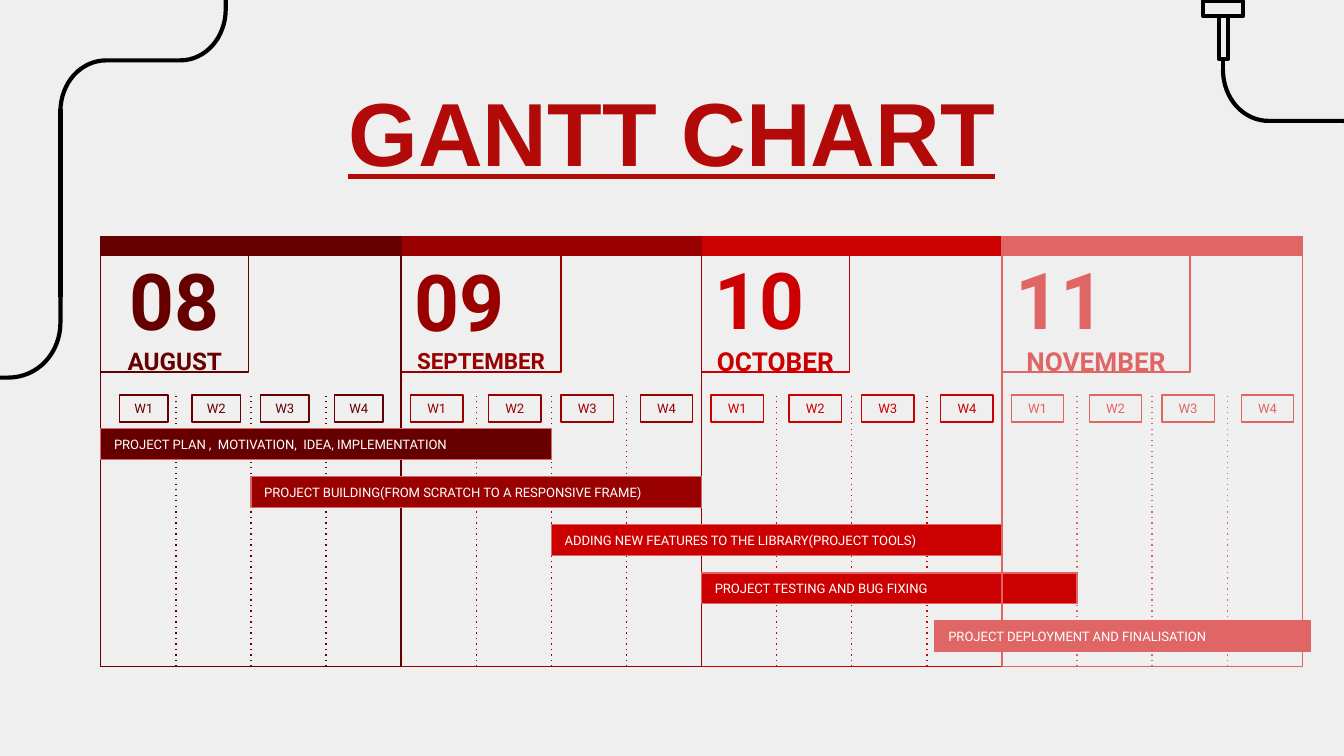
"""Build a four-month Gantt chart slide."""
from lxml import etree
from pptx import Presentation
from pptx.dml.color import RGBColor
from pptx.enum import dml, shapes, text
from pptx.oxml import ns
from pptx.util import Inches, Pt

BACKGROUND = RGBColor(0xEF, 0xEF, 0xEF)
BLACK = RGBColor(0, 0, 0)
WHITE = RGBColor(0xFF, 0xFF, 0xFF)
TITLE_RED = RGBColor(0xB2, 0x09, 0x09)
MAROON = RGBColor(0x66, 0, 0)
CRIMSON = RGBColor(0x99, 0, 0)
SCARLET = RGBColor(0xCC, 0, 0)
CORAL = RGBColor(0xE0, 0x66, 0x66)

LEFT, CENTER = text.PP_ALIGN.LEFT, text.PP_ALIGN.CENTER

TITLE = "GANTT CHART"
WEEKS = ["W1", "W2", "W3", "W4"]
WEEK_OFFSETS = [0.07, 0.65, 1.19, 1.78]
AUGUST_OFFSETS = [0.14, 0.68, 1.19, 1.74]

# number, name, colour, label width, name size, number alignment, week offsets, week width
MONTHS = [
    ("08", "AUGUST", MAROON, 1.1, 13, CENTER, AUGUST_OFFSETS, 0.36),
    ("09", "SEPTEMBER", CRIMSON, 1.19, 12, LEFT, WEEK_OFFSETS, 0.39),
    ("10", "OCTOBER", SCARLET, 1.1, 14, LEFT, WEEK_OFFSETS, 0.39),
    ("11", "NOVEMBER", CORAL, 1.4, 14, LEFT, WEEK_OFFSETS, 0.39),
]

# task, first week, length in weeks, colour
TASKS = [
    ("PROJECT PLAN ,  MOTIVATION,  IDEA, IMPLEMENTATION", 0, 6, MAROON),
    ("PROJECT BUILDING(FROM SCRATCH TO A RESPONSIVE FRAME)", 2, 6, CRIMSON),
    ("ADDING NEW FEATURES TO THE LIBRARY(PROJECT TOOLS)", 6, 6, SCARLET),
    ("PROJECT TESTING AND BUG FIXING", 8, 5, SCARLET),
    ("PROJECT DEPLOYMENT AND FINALISATION", 11.11, 5, CORAL),
]

# each cable piece: start, then line ends (one point) or Bezier curves (three points)
CABLES = [
    ((0.45, 0.83), [[(0.45, 0.62), (0.6, 0.45), (0.79, 0.45)], [(1.34, 0.45)],
                    [(1.53, 0.45), (1.68, 0.28), (1.68, 0.07)], [(1.68, -0.07)]]),
    ((0.45, 2), [[(0.45, 2.4)], [(0.45, 2.63), (0.28, 2.81), (0.06, 2.81)],
                 [(-0.01, 2.81)]]),
    ((9.1, 0.52), [[(9.1, 0.73), (9.25, 0.9), (9.44, 0.9)], [(9.99, 0.9)],
                   [(10.18, 0.9), (10.33, 1.07), (10.33, 1.28)], [(10.33, 1.42)]]),
]
CABLE_LINES = [(0.45, 0.81, 2.21), (9.1, 0.55, 0.45)]
PLUG = [(8.95, 0.01, 0.3, 0.11), (9.07, 0.12, 0.07, 0.32)]

CHART_LEFT, CHART_TOP, CHART_WIDTH, CHART_HEIGHT = 0.75, 1.76, 8.94, 3.2
MONTH_WIDTH = CHART_WIDTH / len(MONTHS)
WEEK_WIDTH = MONTH_WIDTH / len(WEEKS)
BAND_HEIGHT, WEEK_TOP = 0.14, 2.94
FIRST_TASK_TOP, LAST_TASK_TOP, TASK_HEIGHT = 3.19, 4.62, 0.23
TASK_STEP = (LAST_TASK_TOP - FIRST_TASK_TOP) / (len(TASKS) - 1)


def write(box, lines):
    frame = box.text_frame
    frame.word_wrap = True
    frame.vertical_anchor = text.MSO_ANCHOR.MIDDLE
    frame.margin_left = frame.margin_right = Inches(0.1)
    frame.margin_top = frame.margin_bottom = Inches(0.1)
    frame.text = "\n".join(line[0] for line in lines)
    for paragraph, (_, size, colour, bold, align, font) in zip(frame.paragraphs, lines):
        paragraph.alignment = align
        for run in paragraph.runs:
            run.font.size, run.font.name, run.font.bold = Pt(size), font, bold
            run.font.color.rgb = colour


def style(shape, outline, width=0.75, fill=None):
    shape.shadow.inherit = False
    shape.line.color.rgb = outline
    shape.line.width = Pt(width)
    if fill is None:
        shape.fill.background()
    else:
        shape.fill.solid()
        shape.fill.fore_color.rgb = fill


def add_box(slide, place, outline, width=0.75, fill=None, lines=()):
    box = slide.shapes.add_shape(shapes.MSO_SHAPE.RECTANGLE, *map(Inches, place))
    style(box, outline, width, fill)
    if lines:
        write(box, lines)


def add_vertical(slide, x, start, end, colour, width, dotted=False):
    line = slide.shapes.add_connector(
        shapes.MSO_CONNECTOR.STRAIGHT, *map(Inches, (x, start, x, end)))
    line.line.color.rgb = colour
    line.line.width = Pt(width)
    if dotted:
        line.line.dash_style = dml.MSO_LINE.ROUND_DOT
        for dash in line._element.iter(ns.qn("a:prstDash")):
            dash.set("val", "dot")
    etree.SubElement(line._element.spPr, ns.qn("a:effectLst"))


def curve(start, first, second, end, steps=16):
    for t in (step / steps for step in range(1, steps + 1)):
        weights = ((1 - t) ** 3, 3 * t * (1 - t) ** 2, 3 * t * t * (1 - t), t ** 3)
        yield tuple(sum(w * point[axis] for w, point in zip(weights, (start, first, second, end)))
                    for axis in (0, 1))


def add_cable(slide, start, pieces):
    points = [start]
    for piece in pieces:
        points += piece if len(piece) == 1 else list(curve(points[-1], *piece))
    corners = [(Inches(x), Inches(y)) for x, y in points]
    builder = slide.shapes.build_freeform(*corners[0])
    builder.add_line_segments(corners[1:], close=False)
    style(builder.convert_to_shape(), BLACK, 2.25)


def add_month(slide, index):
    number, name, colour, label_width, name_size, align, offsets, week_width = MONTHS[index]
    left = CHART_LEFT + index * MONTH_WIDTH
    add_box(slide, (left, CHART_TOP, MONTH_WIDTH, CHART_HEIGHT), colour)
    add_box(slide, (left, CHART_TOP, MONTH_WIDTH, BAND_HEIGHT), colour, fill=colour)
    add_box(slide, (left, CHART_TOP + BAND_HEIGHT, label_width, 0.87), colour, lines=[
        (number, 42, colour, True, align, "Roboto"),
        (name, name_size, colour, True, CENTER, "Roboto")])
    for week, offset in zip(WEEKS, offsets):
        add_box(slide, (left + offset, WEEK_TOP, week_width, 0.2), colour,
                lines=[(week, 7, colour, False, CENTER, "Roboto")])
    for divider in range(1, len(WEEKS)):
        add_vertical(slide, left + divider * WEEK_WIDTH, CHART_TOP + CHART_HEIGHT,
                     WEEK_TOP, colour, 0.75, dotted=True)


def add_task(slide, index):
    task, first_week, weeks, colour = TASKS[index]
    place = (CHART_LEFT + first_week * WEEK_WIDTH, FIRST_TASK_TOP + index * TASK_STEP,
             weeks * WEEK_WIDTH, TASK_HEIGHT)
    add_box(slide, place, CORAL, fill=colour,
            lines=[(task, 7, WHITE, False, LEFT, "Roboto")])


def main():
    deck = Presentation()
    deck.slide_width = Inches(10)
    deck.slide_height = deck.slide_width * 9 // 16
    slide = deck.slides.add_slide(deck.slide_layouts[6])
    slide.background.fill.solid()
    slide.background.fill.fore_color.rgb = BACKGROUND

    for start, pieces in CABLES:
        add_cable(slide, start, pieces)
    for x, start, end in CABLE_LINES:
        add_vertical(slide, x, start, end, BLACK, 2.25)
    for place in PLUG:
        add_box(slide, place, BLACK, 2.25)

    title = slide.shapes.add_textbox(*map(Inches, (1.81, 0.66, 6.38, 0.63)))
    write(title, [(TITLE, 48, TITLE_RED, True, CENTER, "Arial")])
    title.text_frame.paragraphs[0].runs[0].font.underline = True

    for index in (2, 1, 0):
        add_month(slide, index)
    for index in range(4):
        add_task(slide, index)
    add_month(slide, 3)
    add_task(slide, 4)
    deck.save("out.pptx")


if __name__ == "__main__":
    main()
